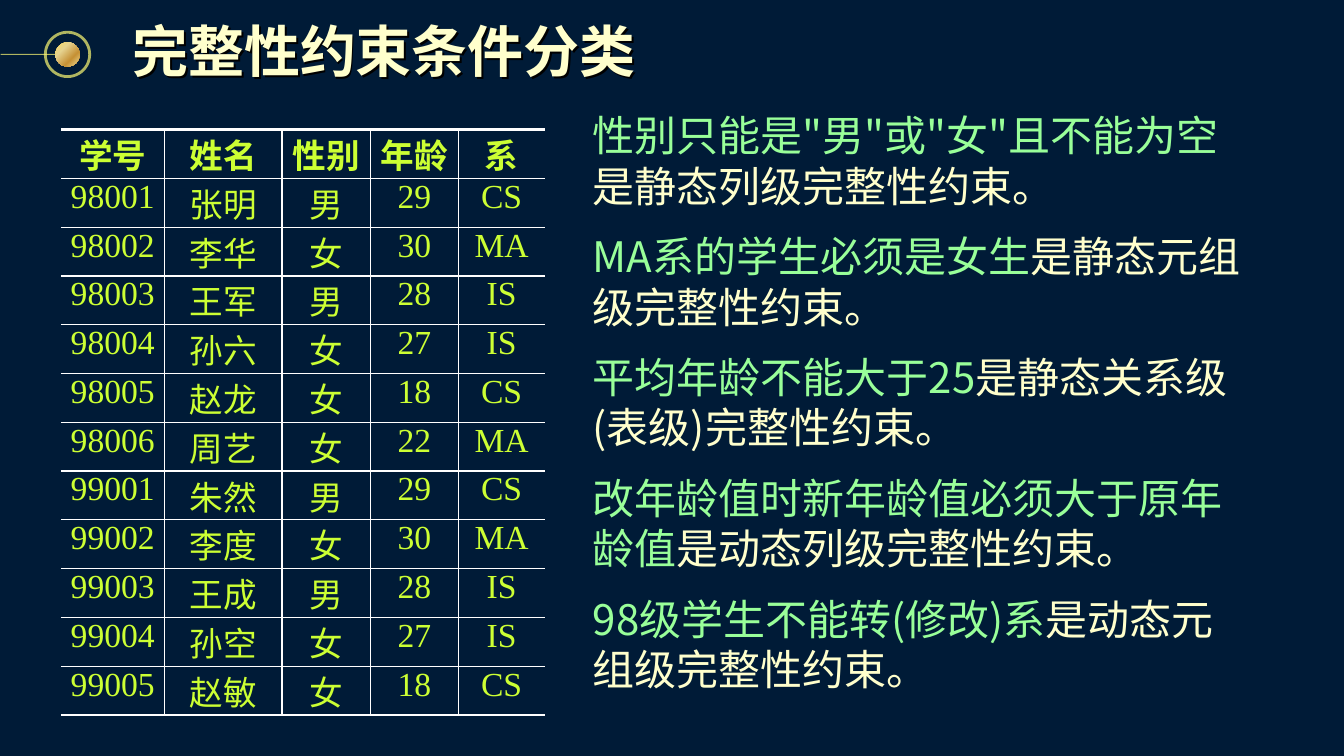
"""Build the slide on classes of integrity constraints."""
import pptx
import pptx.dml.color
import pptx.enum.shapes
import pptx.enum.text
import pptx.oxml
import pptx.oxml.ns
import pptx.util
from lxml import etree

Pt = pptx.util.Pt
MSO = pptx.enum.shapes.MSO_SHAPE
ALIGN = pptx.enum.text.PP_ALIGN
qn = pptx.oxml.ns.qn

COLORS = {
    "night": "001B37", "cream": "FFFFCC", "mint": "99FF99", "lime": "CCFF33",
    "ring": "FCF873", "rule": "FFFFFF", "shadow": "000000",
}
GOLD = [(0, "FCD860"), (31, "E6D38F"), (68, "C69135"), (100, "F1DF97")]
CJK = "Noto Sans CJK SC"
TIMES = "Times New Roman"
TITLE = "完整性约束条件分类"
HEADER = ("学号", "姓名", "性别", "年龄", "系")
STUDENTS = [
    ("98001", "张明", "男", "29", "CS"),
    ("98002", "李华", "女", "30", "MA"),
    ("98003", "王军", "男", "28", "IS"),
    ("98004", "孙六", "女", "27", "IS"),
    ("98005", "赵龙", "女", "18", "CS"),
    ("98006", "周艺", "女", "22", "MA"),
    ("99001", "朱然", "男", "29", "CS"),
    ("99002", "李度", "女", "30", "MA"),
    ("99003", "王成", "男", "28", "IS"),
    ("99004", "孙空", "女", "27", "IS"),
    ("99005", "赵敏", "女", "18", "CS"),
]
CONSTRAINTS = [
    ("性别只能是\"男\"或\"女\"且不能为空", "是静态列级完整性约束。"),
    ("MA系的学生必须是女生", "是静态元组级完整性约束。"),
    ("平均年龄不能大于25", "是静态关系级(表级)完整性约束。"),
    ("改年龄值时新年龄值必须大于原年龄值", "是动态列级完整性约束。"),
    ("98级学生不能转(修改)系", "是动态元组级完整性约束。"),
]
COL_WIDTHS = (74, 84, 63, 63, 61.6)
ROW_HEIGHT = 34.14


def rgb(name):
    return pptx.dml.color.RGBColor.from_string(COLORS[name])


def style(r, size, font, color, bold=False):
    r.font.size = Pt(size)
    r.font.bold = bold
    r.font.color.rgb = rgb(color)
    r.font.name = font
    etree.SubElement(r.font._element, qn("a:ea")).set("typeface", CJK)


def set_line(line, color, width):
    line.color.rgb = rgb(color)
    line.width = Pt(width)
    clr = line._ln.find(".//" + qn("a:srgbClr"))
    etree.SubElement(clr, qn("a:alpha")).set("val", "70000")


def add_circle(s, left, top, size):
    sp = s.shapes.add_shape(MSO.OVAL, Pt(left), Pt(top), Pt(size), Pt(size))
    sp.shadow.inherit = False
    sp.rotation = 270
    return sp


def add_ornament(s):
    ring = add_circle(s, 32.4, 23, 31.7)
    ring.fill.background()
    set_line(ring.line, "ring", 2)
    stem = s.shapes.add_connector(
        pptx.enum.shapes.MSO_CONNECTOR.STRAIGHT, Pt(0.5), Pt(38.9), Pt(39.6), Pt(38.9))
    set_line(stem.line, "ring", 0.75)
    etree.SubElement(stem._element.spPr, qn("a:effectLst"))
    dot = add_circle(s, 39.6, 30.2, 17.3)
    dot.line.fill.background()
    dot.fill.gradient()
    grad = dot._element.spPr.find(qn("a:gradFill"))
    stops = grad.find(qn("a:gsLst"))
    for stop in list(stops):
        stops.remove(stop)
    for pos, color in GOLD:
        stop = etree.SubElement(stops, qn("a:gs"), pos=str(pos * 1000))
        etree.SubElement(stop, qn("a:srgbClr"), val=color)
    grad.find(qn("a:lin")).set("ang", str(135 * 60000))


def set_borders(cell, widths):
    tcPr = cell._tc.get_or_add_tcPr()
    for i, (side, width) in enumerate(widths.items()):
        ln = etree.Element(qn("a:ln" + side), w=str(Pt(width)))
        if width:
            fill = etree.SubElement(ln, qn("a:solidFill"))
            etree.SubElement(fill, qn("a:srgbClr"), val=COLORS["rule"])
        else:
            etree.SubElement(ln, qn("a:noFill"))
        tcPr.insert(i, ln)


def add_students(s):
    rows = [HEADER] + STUDENTS
    table = s.shapes.add_table(
        len(rows), len(HEADER), Pt(43.5), Pt(92.6),
        Pt(sum(COL_WIDTHS)), Pt(ROW_HEIGHT * len(rows))).table
    table.first_row = table.horz_banding = False
    for col, width in zip(table.columns, COL_WIDTHS):
        col.width = Pt(width)
    last_row, last_col = len(rows) - 1, len(HEADER) - 1
    for i, values in enumerate(rows):
        table.rows[i].height = Pt(ROW_HEIGHT)
        for j, value in enumerate(values):
            cell = table.cell(i, j)
            cell.margin_left = cell.margin_right = cell.margin_top = cell.margin_bottom = 0
            cell.fill.background()
            set_borders(cell, {
                "L": 1 if j else 0, "R": 1 if j < last_col else 0,
                "T": 1 if i else 2.25, "B": 1 if i < last_row else 2.25})
            p = cell.text_frame.paragraphs[0]
            p.text = value
            p.alignment = ALIGN.CENTER
            style(p.runs[0], 24, TIMES, "lime", bold=i == 0)


def add_constraints(s):
    tf = s.shapes.add_textbox(Pt(423.4), Pt(78.5), Pt(468), Pt(24)).text_frame
    tf.word_wrap = True
    tf.auto_size = pptx.enum.text.MSO_AUTO_SIZE.SHAPE_TO_FIT_TEXT
    tf.margin_left = tf.margin_right = tf.margin_top = tf.margin_bottom = 0
    for i, parts in enumerate(CONSTRAINTS):
        p = tf.add_paragraph() if i else tf.paragraphs[0]
        p.line_spacing = 1.0
        if i:
            p.space_before = Pt(14.3)
        for text, color in zip(parts, ("mint", "cream")):
            r = p.add_run()
            r.text = text
            style(r, 30, CJK, color)


def add_title(s):
    sp = s.shapes.add_textbox(Pt(88.6), Pt(5.8), Pt(375), Pt(59.8))
    tf = sp.text_frame
    tf.word_wrap = False
    tf.vertical_anchor = pptx.enum.text.MSO_ANCHOR.MIDDLE
    tf.margin_left = tf.margin_right = tf.margin_top = tf.margin_bottom = Pt(5.8)
    tf.text = TITLE
    style(tf.paragraphs[0].runs[0], 40, "Arial", "cream", bold=True)
    effects = etree.SubElement(sp._element.spPr, qn("a:effectLst"))
    shadow = etree.SubElement(
        effects, qn("a:outerShdw"), dist=str(Pt(2)), dir="2700000")
    etree.SubElement(shadow, qn("a:srgbClr"), val=COLORS["shadow"])


def main():
    prs = pptx.Presentation()
    prs.slide_width, prs.slide_height = Pt(960), Pt(540)
    s = prs.slides.add_slide(prs.slide_layouts[6])
    s.background.fill.solid()
    s.background.fill.fore_color.rgb = rgb("night")
    add_ornament(s)
    add_students(s)
    add_constraints(s)
    add_title(s)
    prs.save("out.pptx")


if __name__ == "__main__":
    main()
